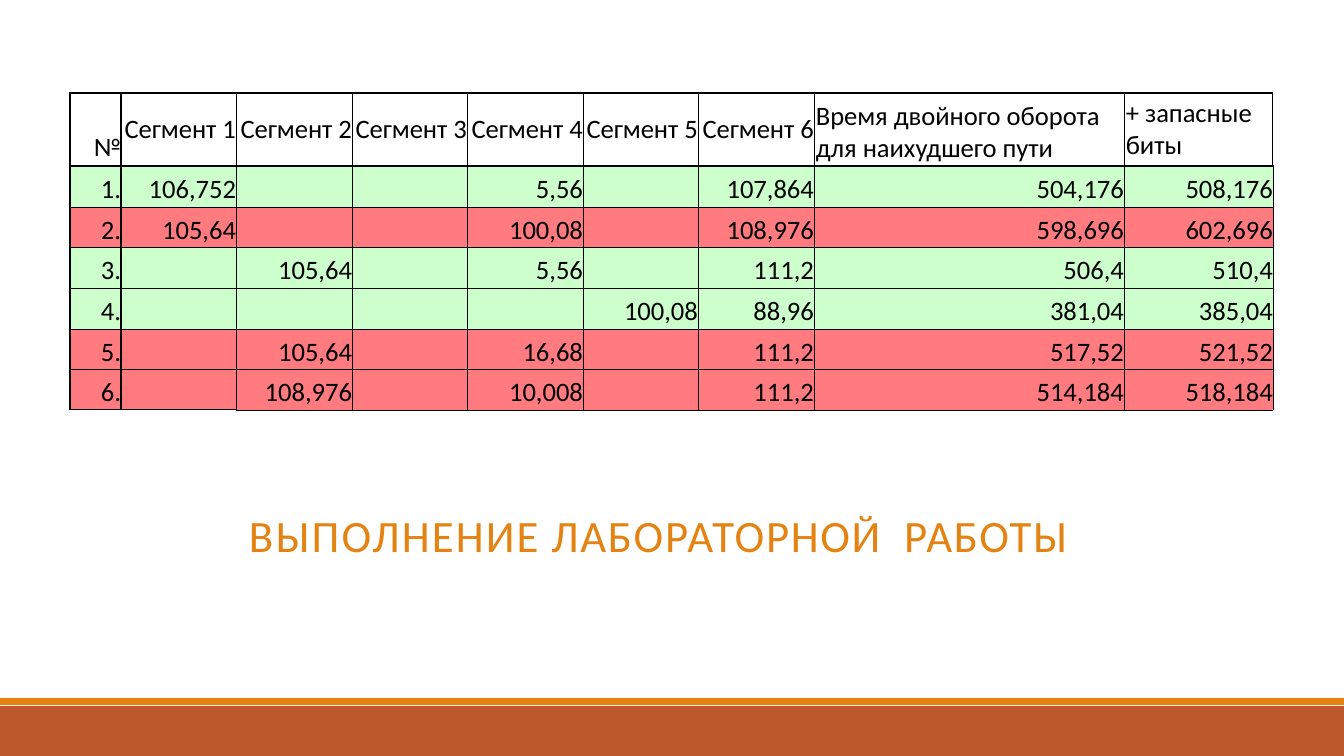
from dataclasses import dataclass

from lxml import etree
from pptx import Presentation
from pptx.dml.color import RGBColor
from pptx.enum.shapes import MSO_SHAPE
from pptx.enum.text import MSO_ANCHOR, MSO_AUTO_SIZE, PP_ALIGN
from pptx.oxml.ns import qn
from pptx.util import Emu, Pt

RECTANGLE = MSO_SHAPE.RECTANGLE
TOP = MSO_ANCHOR.TOP
NO_AUTOFIT = MSO_AUTO_SIZE.NONE
LEFT, RIGHT = PP_ALIGN.LEFT, PP_ALIGN.RIGHT
TITLE_ONLY = 5
EMU_PER_PX = 914400 / 100.8


@dataclass(frozen=True)
class Theme:
    font: str = "Calibri"
    title_size: int = 32
    table_size: int = 19
    accent: str = "E48312"
    footer: str = "BD582C"
    text: str = "000000"
    header: str = "FFFFFF"
    passed: str = "CCFFCC"
    failed: str = "FF7B80"
    thin: float = 0.5
    thick: float = 1


THEME = Theme()
SLIDE_SIZE = (1344, 756)
TITLE_BOX = (176, 471, 991, 93)
TITLE_INDENT = 73
TITLE_TABS = (386, 746)
# Text and letter spacing in hundredths of a point
TITLE_PARTS = (("ВЫПОЛНЕНИЕ\t", 150), ("ЛАБОРАТОРНОЙ\t", 120), ("РАБОТЫ", 110))

TABLE_ORIGIN = (70, 93)
COLUMN_WIDTHS = [51] + [115, 116] * 3 + [310, 149]
ROW_HEIGHTS = [73] + [41, 40, 41] * 2
# Text, space above it, alignment
HEADERS = (
    [("№", 38, RIGHT)]
    + [(f"Сегмент {number}", 20, RIGHT) for number in range(1, 7)]
    + [("Время двойного оборота\nдля наихудшего пути", 7, LEFT),
       ("+ запасные\nбиты", 4, LEFT)]
)
VALUE_SPACE = 7
# Segments 1 to 6, round-trip time, time with spare bits
ROUTES = (
    (THEME.passed, ("106,752", "", "", "5,56", "", "107,864", "504,176", "508,176")),
    (THEME.failed, ("105,64", "", "", "100,08", "", "108,976", "598,696", "602,696")),
    (THEME.passed, ("", "105,64", "", "5,56", "", "111,2", "506,4", "510,4")),
    (THEME.passed, ("", "", "", "", "100,08", "88,96", "381,04", "385,04")),
    (THEME.failed, ("", "105,64", "", "16,68", "", "111,2", "517,52", "521,52")),
    (THEME.failed, ("", "108,976", "", "10,008", "", "111,2", "514,184", "518,184")),
)


def px(length):
    return Emu(round(length * EMU_PER_PX))


def apply_format(target, values):
    for name, value in values.items():
        setattr(target, name, value)


def format_font(font, size, color):
    apply_format(font, {"name": THEME.font, "size": Pt(size), "bold": False})
    font.color.rgb = RGBColor.from_string(color)


def add_band(slide, top, height, color):
    band = slide.shapes.add_shape(
        RECTANGLE, 0, px(top), px(SLIDE_SIZE[0]), px(height))
    band.shadow.inherit = False
    band.fill.solid()
    band.fill.fore_color.rgb = RGBColor.from_string(color)
    band.line.fill.background()


def set_tab_stops(paragraph, indent, stops):
    properties = paragraph._p.get_or_add_pPr()
    properties.set("marL", str(px(indent)))
    properties.set("indent", "0")
    tab_list = etree.SubElement(properties, qn("a:tabLst"))
    for stop in stops:
        etree.SubElement(tab_list, qn("a:tab"), pos=str(px(stop)), algn="l")


def fill_title(title):
    left, top, width, height = TITLE_BOX
    apply_format(title, {"left": px(left), "top": px(top),
                         "width": px(width), "height": px(height)})
    frame = title.text_frame
    apply_format(frame, {
        "margin_left": 0, "margin_right": 0, "margin_bottom": 0,
        "margin_top": px(37), "vertical_anchor": TOP,
        "auto_size": NO_AUTOFIT, "word_wrap": True,
    })
    heading = frame.paragraphs[0]
    heading.alignment = LEFT
    set_tab_stops(heading, TITLE_INDENT, TITLE_TABS)
    for text, spacing in TITLE_PARTS:
        word = heading.add_run()
        word.text = text
        format_font(word.font, THEME.title_size, THEME.accent)
        word.font._element.set("spc", str(spacing))


def set_borders(cell, row, column):
    """Thick lines frame the header row and the number column."""
    last_row, last_column = len(ROW_HEIGHTS) - 1, len(COLUMN_WIDTHS) - 1
    thick_sides = {
        "L": column <= 1,
        "R": column == 0 or (row == 0 and column == last_column),
        "T": row <= 1,
        "B": row == 0 or (row == last_row and column <= 1),
    }
    properties = cell._tc.get_or_add_tcPr()
    for side, is_thick in thick_sides.items():
        weight = Pt(THEME.thick if is_thick else THEME.thin)
        border = etree.SubElement(properties, qn(f"a:ln{side}"), w=str(weight))
        solid = etree.SubElement(border, qn("a:solidFill"))
        etree.SubElement(solid, qn("a:srgbClr"), val=THEME.text)


def fill_cell(cell, text, space_above, alignment, color):
    apply_format(cell, {
        "margin_left": px(2) if alignment == LEFT else 0, "margin_right": 0,
        "margin_top": px(space_above), "margin_bottom": 0,
        "vertical_anchor": TOP,
    })
    cell.fill.solid()
    cell.fill.fore_color.rgb = RGBColor.from_string(color)
    cell.text = text
    for paragraph in cell.text_frame.paragraphs:
        paragraph.alignment = alignment
        format_font(paragraph.font, THEME.table_size, THEME.text)
        for run in paragraph.runs:
            format_font(run.font, THEME.table_size, THEME.text)


def add_route_table(slide):
    left, top = TABLE_ORIGIN
    table = slide.shapes.add_table(
        len(ROW_HEIGHTS), len(COLUMN_WIDTHS), px(left), px(top),
        px(sum(COLUMN_WIDTHS)), px(sum(ROW_HEIGHTS))).table
    apply_format(table, {"first_row": False, "horz_banding": False})
    for column, width in zip(table.columns, COLUMN_WIDTHS):
        column.width = px(width)
    for row, height in zip(table.rows, ROW_HEIGHTS):
        row.height = px(height)

    contents = [[(*header, THEME.header) for header in HEADERS]]
    for number, (color, values) in enumerate(ROUTES, start=1):
        contents.append([(text, VALUE_SPACE, RIGHT, color)
                         for text in (f"{number}.", *values)])
    for row, entries in enumerate(contents):
        for column, entry in enumerate(entries):
            cell = table.cell(row, column)
            set_borders(cell, row, column)
            fill_cell(cell, *entry)


def main():
    presentation = Presentation()
    width, height = SLIDE_SIZE
    apply_format(presentation, {"slide_width": px(width),
                                "slide_height": px(height)})
    slide = presentation.slides.add_slide(presentation.slide_layouts[TITLE_ONLY])
    add_band(slide, 706, 50, THEME.footer)
    add_band(slide, 698, 7, THEME.accent)
    fill_title(slide.shapes.title)
    add_route_table(slide)
    presentation.save("out.pptx")


if __name__ == "__main__":
    main()
